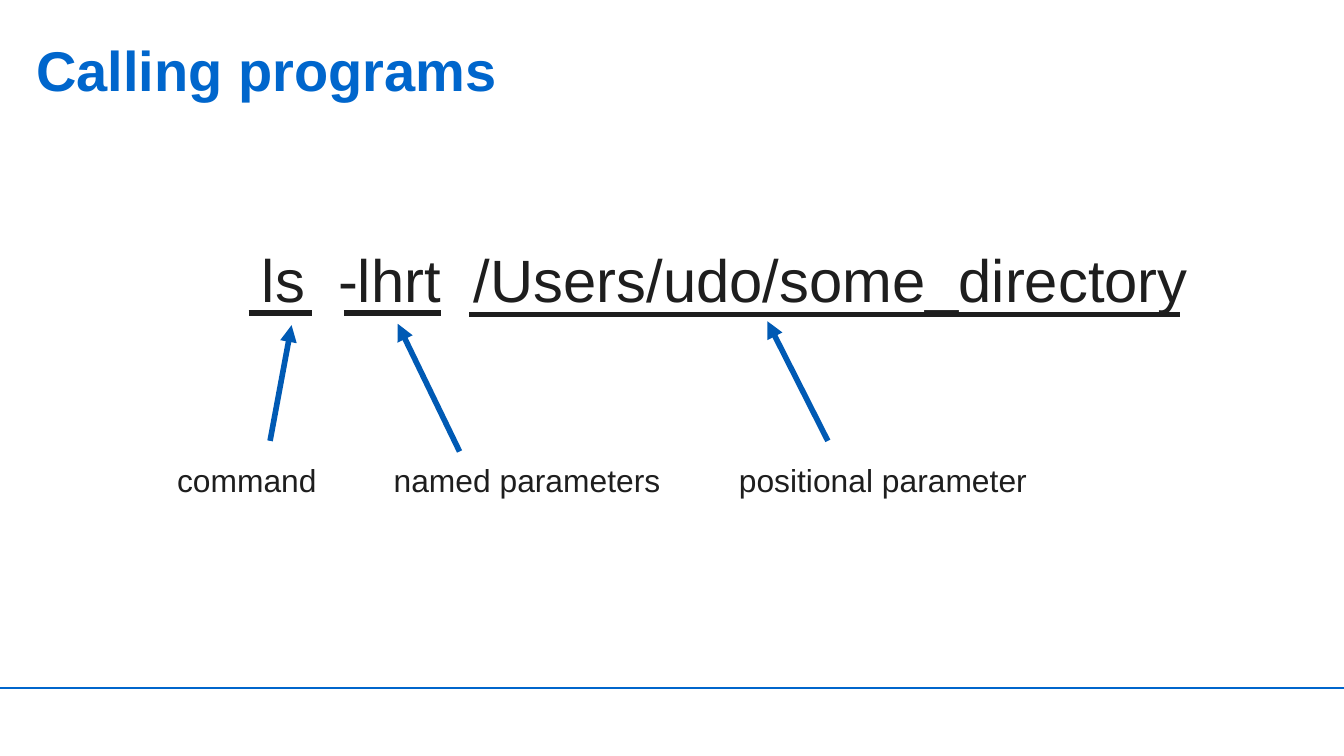
from dataclasses import dataclass

from lxml import etree
from pptx import Presentation
from pptx import util as u
from pptx.dml.color import RGBColor
from pptx.enum import shapes, text
from pptx.oxml.ns import qn


@dataclass(frozen=True)
class Theme:
    font: str = "Arial"
    accent: str = "0066CC"
    arrow: str = "005AB4"
    ink: str = "1E1E1E"
    title_size: float = 30
    command_size: float = 32
    label_size: float = 17
    line_spacing: float = 1.07
    rule_width: float = 1.5
    mark_width: float = 3


THEME = Theme()

# Label, its left, top, width and height
LABEL_TOP, LABEL_HEIGHT = 241.9, 28.1
LABELS = [
    ("command", 87.8, 90),
    ("named parameters", 203.8, 159.1),
    ("positional parameter", 388.8, 170.6),
]

# Underlines: left, right, height on the page
UNDERLINES = [(133.2, 167, 167.8), (184.3, 236.2, 167.8), (251.3, 632.2, 168.5)]

# Arrows: from the label up to the underlined part
ARROWS = [
    ((144.7, 236.2), (156.2, 174.2)),
    ((246.2, 241.9), (213.1, 173.5)),
    ((443.5, 236.2), (411.1, 172.1)),
]


def add_text(page, words, left, top, width, height, *, size, color=THEME.ink,
             bold=False, wrap=True, inset=(7.2, 3.6)):
    box = page.shapes.add_textbox(u.Pt(left), u.Pt(top), u.Pt(width), u.Pt(height))
    frame = box.text_frame
    frame.word_wrap = wrap
    frame.vertical_anchor = text.MSO_ANCHOR.TOP
    frame.margin_left = frame.margin_right = u.Pt(inset[0])
    frame.margin_top = frame.margin_bottom = u.Pt(inset[1])
    para = frame.paragraphs[0]
    para.line_spacing = THEME.line_spacing
    span = para.add_run()
    span.text = words
    span.font.name = THEME.font
    span.font.size = u.Pt(size)
    span.font.bold = bold
    span.font.color.rgb = RGBColor.from_string(color)
    return box


def add_line(page, start, end, *, color, width, arrow=False):
    line = page.shapes.add_connector(
        shapes.MSO_CONNECTOR.STRAIGHT, *(u.Pt(value) for value in (*start, *end)))
    line.line.color.rgb = RGBColor.from_string(color)
    line.line.width = u.Pt(width)
    if arrow:
        outline = line.line._get_or_add_ln()
        etree.SubElement(outline, qn("a:tailEnd"), type="triangle")
    etree.SubElement(line._element.spPr, qn("a:effectLst"))
    return line


def main():
    deck = Presentation()
    deck.slide_width, deck.slide_height = u.Pt(720), u.Pt(405)
    page = deck.slides.add_slide(deck.slide_layouts[6])

    # Footer rule and title
    add_line(page, (0, 368.6), (720, 368.6), color=THEME.accent, width=THEME.rule_width)
    add_text(page, "Calling programs", 19.4, 16.6, 680.4, 33.1,
             size=THEME.title_size, color=THEME.accent, bold=True, inset=(0, 0))

    # Command line and the labels of its parts
    add_text(page, "ls  -lhrt  /Users/udo/some_directory", 133.2, 123.8, 532.8, 67,
             size=THEME.command_size)
    for words, left, width in LABELS:
        add_text(page, words, left, LABEL_TOP, width, LABEL_HEIGHT,
                 size=THEME.label_size, wrap=False)

    # Underlines and arrows
    for left, right, level in UNDERLINES:
        add_line(page, (left, level), (right, level),
                 color=THEME.ink, width=THEME.mark_width)
    for start, end in ARROWS:
        add_line(page, start, end, color=THEME.arrow, width=THEME.mark_width, arrow=True)

    deck.save("out.pptx")


if __name__ == "__main__":
    main()
